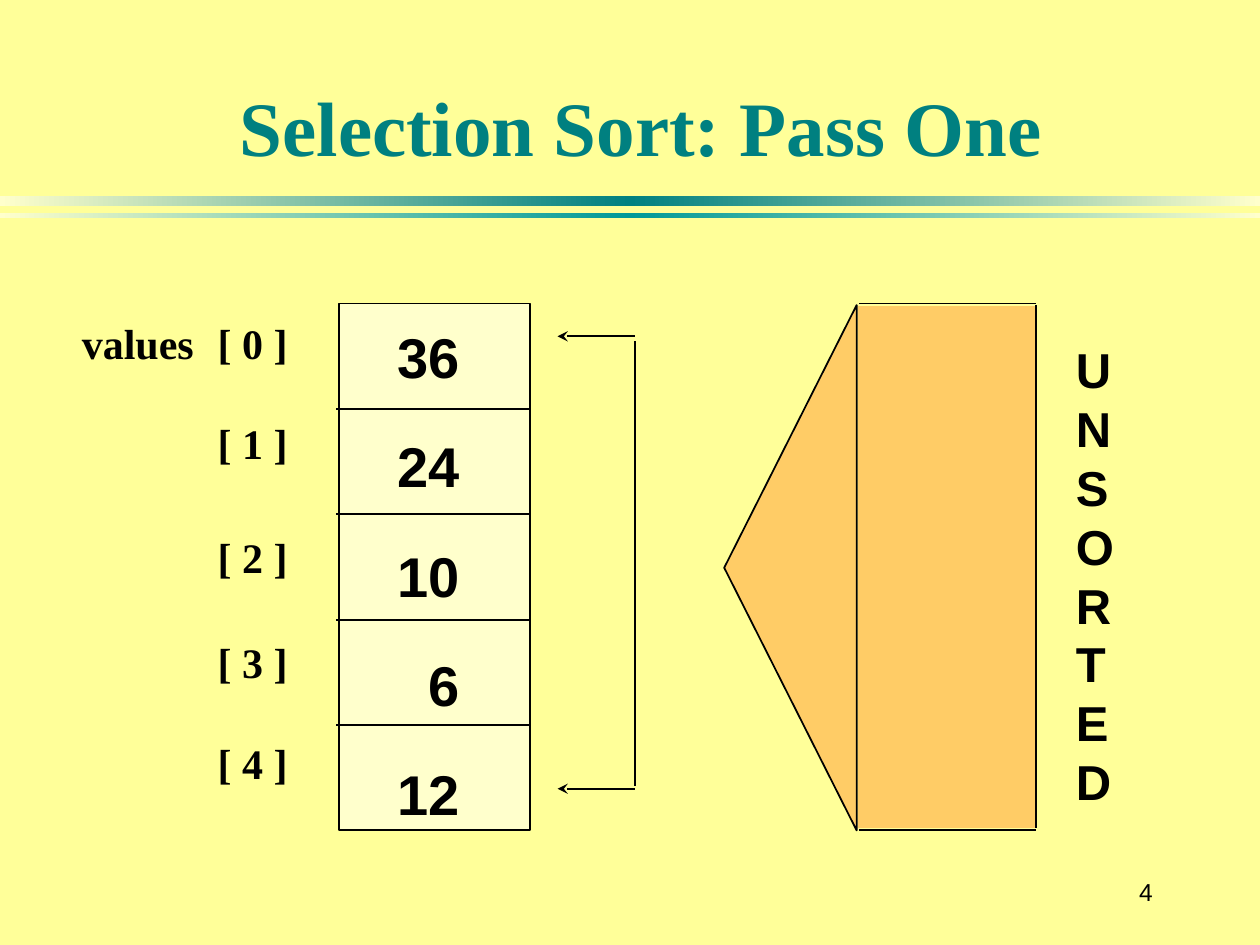
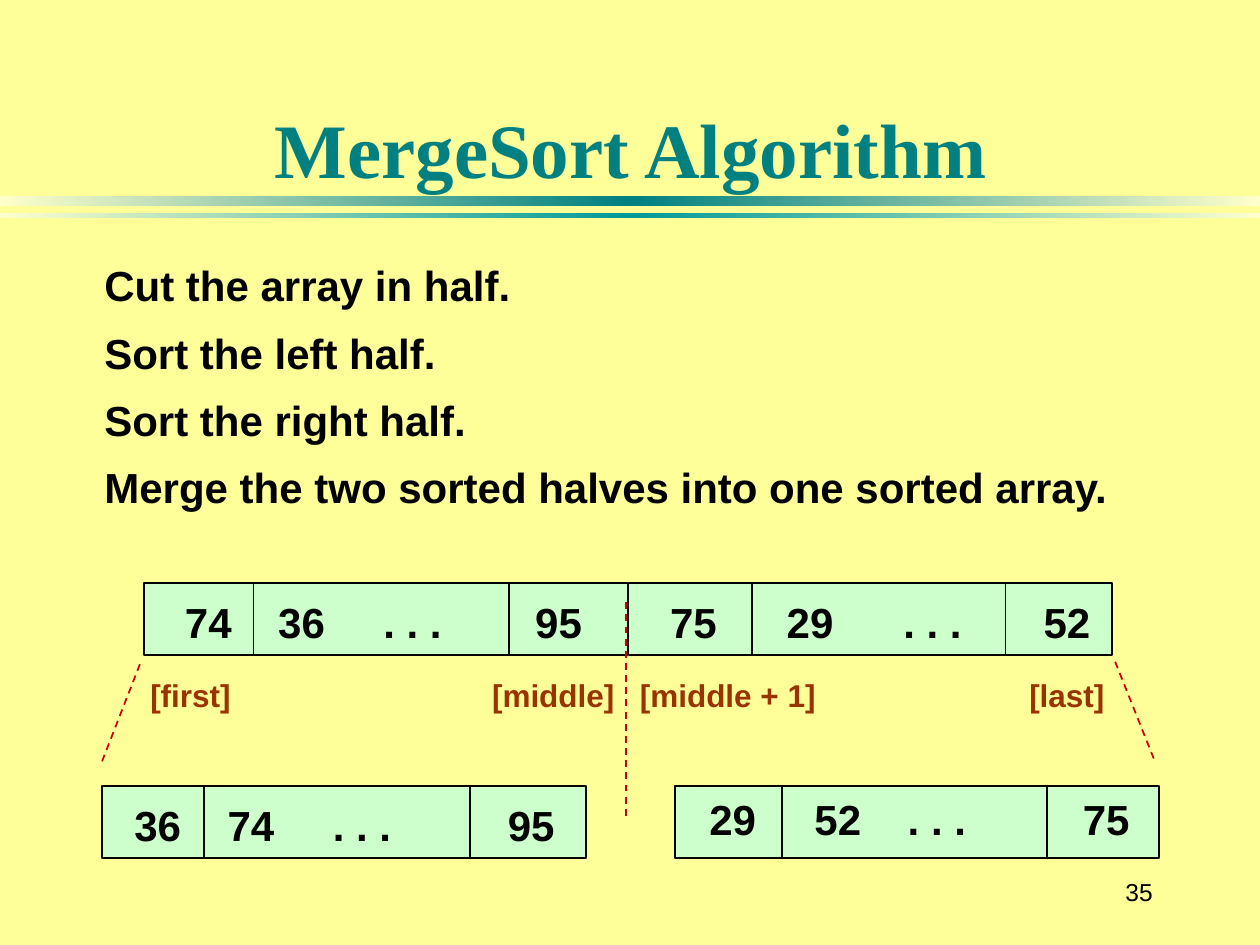
import copy

import lxml.etree
import pptx
import pptx.dml.color
import pptx.enum.dml
import pptx.enum.shapes
import pptx.enum.text
import pptx.oxml.ns
import pptx.util

Cm = pptx.util.Cm
Pt = pptx.util.Pt
qn = pptx.oxml.ns.qn
KIND = pptx.enum.shapes.MSO_SHAPE
ALIGN = pptx.enum.text.PP_ALIGN
ANCHOR = pptx.enum.text.MSO_ANCHOR

HUES = {
    "page": "FFFF99", "cream": "FFFFCC", "teal": "008080", "aqua": "009999",
    "ink": "000000", "amber": "FFCC66", "mint": "CCFFCC", "red": "CC0000",
    "rust": "993300",
}


def hue(name):
    return pptx.dml.color.RGBColor.from_string(HUES[name])


class Deck:
    sans = "Arial"
    serif = "Times New Roman"
    lead = 1.2

    def __init__(self):
        self.prs = pptx.Presentation()
        self.prs.slide_width = Cm(25.4)
        self.prs.slide_height = Cm(19.05)
        fill = self.prs.slide_master.background.fill
        fill.solid()
        fill.fore_color.rgb = hue("page")
        self.slide = None

    def open(self, layout, title, box, number):
        first = self.slide is None
        self.slide = self.prs.slides.add_slide(self.prs.slide_layouts[layout])
        if first:
            self.band(50, 3.96, 0.2, "teal")
            self.band(51, 4.29, 0.1, "aqua")
        frame = self.place(self.slide.shapes.title, box)
        frame.vertical_anchor = ANCHOR.BOTTOM
        self.para(frame, title, 44, self.serif, "teal", align=ALIGN.CENTER)
        self.text((21.79, 17.35, 1.7, 1.27), [number], 14, bold=False,
                  align=ALIGN.RIGHT, anchor=ANCHOR.MIDDLE)

    def band(self, ident, top, high, mid):
        bar = self.shape((0, top, 25.4, high), None, edge=False)
        bar.fill.gradient()
        bar.fill.gradient_angle = 0
        stops = bar.element.spPr.find(".//" + qn("a:gsLst"))
        stops.append(copy.deepcopy(stops[0]))
        looks = zip(bar.fill.gradient_stops, (0, 0.5, 1), ("cream", mid, "cream"))
        for stop, place, name in looks:
            stop.position = place
            stop.color.rgb = hue(name)
        bar.element.nvSpPr.cNvPr.set("id", str(ident))
        self.prs.slide_master.shapes.element.insert(2, bar.element)

    def place(self, holder, box):
        holder.left, holder.top, holder.width, holder.height = map(Cm, box)
        frame = holder.text_frame
        frame.word_wrap = True
        frame.auto_size = pptx.enum.text.MSO_AUTO_SIZE.NONE
        return frame

    def para(self, frame, words, size, font=None, ink="ink", bold=True,
             align=ALIGN.LEFT, gap=0, stops=(), plain=False):
        para = frame.paragraphs[0]
        if para.runs:
            para = frame.add_paragraph()
        para.alignment = align
        para.line_spacing = Pt(size * self.lead)
        para.space_before = Pt(gap)
        props = para._p.get_or_add_pPr()
        if plain:
            props.set("marL", "0")
            props.set("indent", "0")
            lxml.etree.SubElement(props, qn("a:buNone"))
        if stops:
            tabs = lxml.etree.SubElement(props, qn("a:tabLst"))
            for stop in stops:
                lxml.etree.SubElement(tabs, qn("a:tab"), pos=str(Cm(stop)), algn="l")
        run = para.add_run()
        run.text = words
        run.font.name = font or self.sans
        run.font.size = Pt(size)
        run.font.bold = bold
        run.font.color.rgb = hue(ink)

    def text(self, box, lines, size, gaps=None, anchor=ANCHOR.TOP, **look):
        frame = self.place(self.slide.shapes.add_textbox(0, 0, 0, 0), box)
        frame.vertical_anchor = anchor
        for line, gap in zip(lines, gaps or [0] * len(lines)):
            self.para(frame, line, size, gap=gap, **look)

    def body(self, box, lines, size, gap):
        frame = self.place(self.slide.placeholders[1], box)
        for i, line in enumerate(lines):
            self.para(frame, line, size, gap=gap if i else 0, plain=True)

    def row(self, left, top, words, stops, size=24, ink="ink"):
        box = (left - 0.25, top, stops[-1] + 2.6, 1.27)
        self.text(box, ["\t".join(words)], size, ink=ink, stops=stops)

    def shape(self, box, fill, kind=KIND.RECTANGLE, edge=True):
        item = self.slide.shapes.add_shape(kind, *map(Cm, box))
        item.shadow.inherit = False
        if fill:
            item.fill.solid()
            item.fill.fore_color.rgb = hue(fill)
        if edge:
            item.line.color.rgb = hue("ink")
            item.line.width = Pt(1)
        else:
            item.line.fill.background()
        return item

    def line(self, x1, y1, x2, y2, ink="ink", dash=False, tip=False):
        link = self.slide.shapes.add_connector(
            pptx.enum.shapes.MSO_CONNECTOR.STRAIGHT, *map(Cm, (x1, y1, x2, y2)))
        link.line.color.rgb = hue(ink)
        link.line.width = Pt(1)
        if dash:
            link.line.dash_style = pptx.enum.dml.MSO_LINE.DASH
        if tip:
            lxml.etree.SubElement(link.line._get_or_add_ln(), qn("a:headEnd"),
                                  type="stealth")
        lxml.etree.SubElement(link.element.spPr, qn("a:effectLst"))

    def array(self, left, top, cuts):
        self.shape((left, top, 9.75, 1.45), "mint")
        for cut in cuts:
            self.line(cut, top, cut, top + 1.45)


def select(deck):
    deck.open(5, "Selection Sort: Pass One", (3.68, 0.41, 18.49, 3.18), "4")
    marks = ["values\t[ 0 ]"] + [f"\t[ {i} ]" for i in range(1, 5)]
    deck.text((1.4, 6.27, 5, 9.2), marks, 24, (0, 28.8, 36, 31.2, 28.8),
              font=deck.serif, stops=[2.74])

    top, high = 6.12, 10.62
    deck.shape((6.83, top, 3.86, high), "cream")
    for i in range(1, 5):
        y = top + i * high / 5
        deck.line(6.78, y, 10.69, y)
    nums = ["36", "24", "10", "6", "12"]
    deck.text((7.2, 6.38, 2.32, 10.41), nums, 32, [0] + [24] * 4,
              align=ALIGN.RIGHT)

    tri = deck.shape((10.64, 10.11, 10.59, 2.67), "amber", KIND.ISOSCELES_TRIANGLE)
    tri.rotation = 270
    deck.shape((17.3, 6.17, 3.58, 10.52), "amber", edge=False)
    for y in (top, top + high):
        deck.line(17.32, y, 20.89, y)
    deck.line(20.88, 6.15, 20.88, 16.69)
    deck.text((21.44, 6.73, 1.8, 9.75), "UNSORTED", 28)

    deck.line(12.8, 6.88, 12.8, 15.85)
    for y in (6.78, 15.9):
        deck.line(11.24, y, 12.81, y, tip=True)


def merge(deck):
    deck.open(1, "MergeSort Algorithm", (0.58, 0.86, 24.28, 3.18), "35")
    steps = ["Cut the array in half.", "Sort the left half.",
             "Sort the right half.",
             "Merge the two sorted halves into one sorted array."]
    deck.body((1.85, 5.11, 21.59, 5.33), steps, 24, 9.6)
    deck.row(3.03, 13.51, ["[first]", "[middle]", "[middle + 1]", "[last]"],
             (6.89, 9.87, 17.72), 18, "rust")

    arrays = [
        (2.9, 11.76, (5.11, 10.26)),
        (12.67, 11.76, (15.16, 20.27)),
        (2.06, 15.85, (4.11, 9.47)),
        (13.61, 15.85, (15.77, 21.11)),
    ]
    for item in arrays:
        deck.array(*item)
    rows = [
        (3.73, 11.91, "74 36 95", (1.88, 4, 7.06)),
        (13.51, 11.91, "75 29 52", (2.35, 4.7, 7.53)),
        (2.71, 16, "36 74 95", (1.88, 4, 7.53)),
        (14.3, 15.88, "29 52 75", (2.12, 4, 7.53)),
    ]
    for left, top, nums, stops in rows:
        one, two, last = nums.split()
        deck.row(left, top, [one, two, ". . .", last], stops)

    cuts = [(12.62, 12.14, 12.62, 16.46), (2.82, 13.39, 2.03, 15.42),
            (22.48, 13.34, 23.29, 15.37)]
    for cut in cuts:
        deck.line(*cut, ink="red", dash=True)


def main():
    deck = Deck()
    select(deck)
    merge(deck)
    deck.prs.save("out.pptx")


if __name__ == "__main__":
    main()
